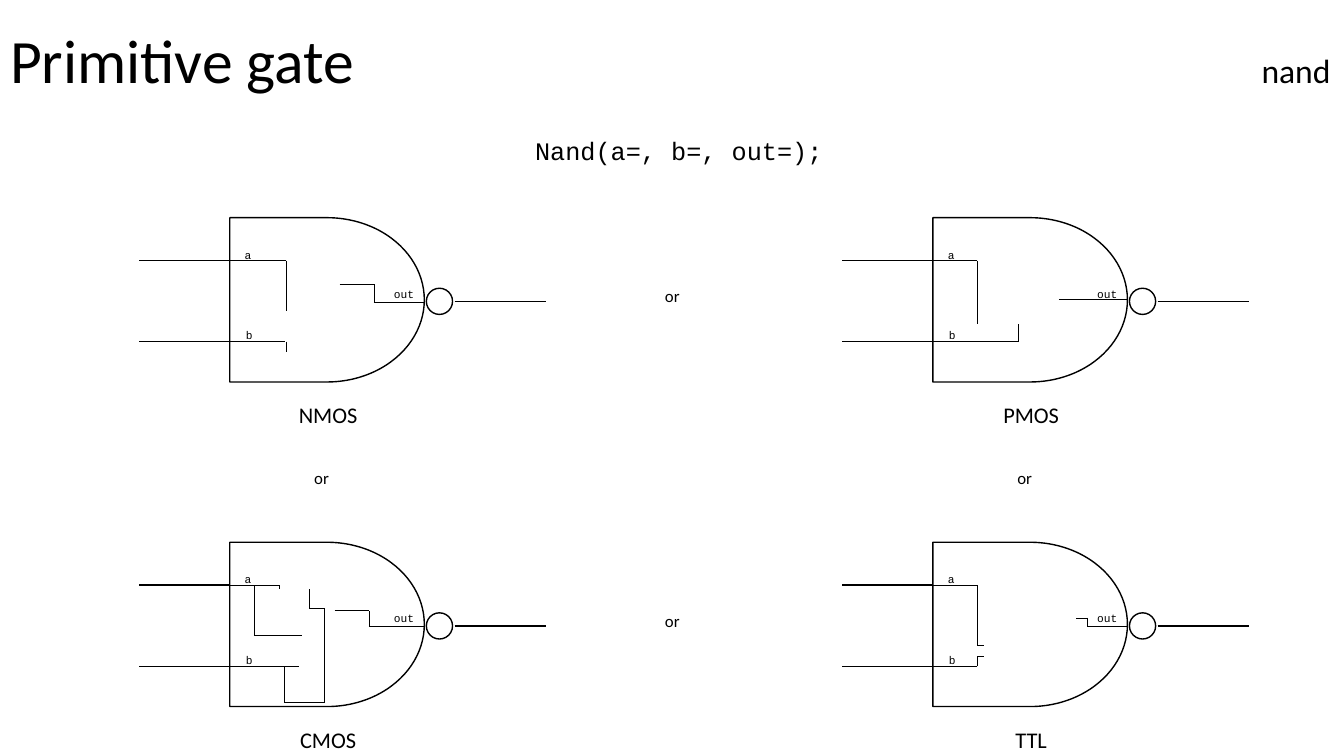
from pptx import Presentation
from pptx.dml.color import RGBColor
from pptx.enum.shapes import MSO_CONNECTOR, MSO_SHAPE
from pptx.enum.text import MSO_ANCHOR, MSO_AUTO_SIZE, PP_ALIGN
from pptx.oxml.ns import qn
from pptx.util import Inches, Pt
from lxml import etree

BLACK = RGBColor(0, 0, 0)
LEFT, CENTER = PP_ALIGN.LEFT, PP_ALIGN.CENTER
MIDDLE = MSO_ANCHOR.MIDDLE
FIXED = MSO_AUTO_SIZE.NONE
STRAIGHT = MSO_CONNECTOR.STRAIGHT
DELAY, OVAL = MSO_SHAPE.FLOWCHART_DELAY, MSO_SHAPE.OVAL
SANS, MONO = "Calibri", "Courier New"

# Ten grid columns and ten grid rows make one inch.
COLS, ROWS = 133.33, 75
GATE_X, GATE_Y = 22.8, 21.6
STEP_X, STEP_Y = 69.75, 32.2
IN_A, IN_B, OUT = 4.25, 12.3, 8.3

# Inner wires of each gate, as paths measured from its body's top left corner.
GATES = [
    ("NMOS", 0, 0, [
        [(0, IN_A), (5.6, IN_A), (5.6, 9.3)],
        [(0, IN_B), (5.5, IN_B)],
        [(5.6, IN_B), (5.6, 13.3)],
        [(10.9, 6.6), (14.3, 6.6), (14.3, 8.4), (19.4, 8.4)]]),
    ("PMOS", 1, 0, [
        [(0, IN_A), (4.4, IN_A), (4.4, 10.5)],
        [(0, IN_B), (8.5, IN_B), (8.5, 10.5)],
        [(12.5, 8.1), (19.3, 8.1)]]),
    ("CMOS", 0, 1, [
        [(0, IN_A), (4.9, IN_A), (4.9, 4.6)],
        [(0, IN_B), (6.9, IN_B)],
        [(2.4, IN_A), (2.4, 9.2), (7.2, 9.2)],
        [(5.4, IN_B), (5.4, 15.9), (9.4, 15.9), (9.4, 6.6), (7.9, 6.6), (7.9, 4.6)],
        [(10.4, 6.8), (13.8, 6.8), (13.8, OUT), (19.3, OUT)]]),
    ("TTL", 1, 1, [
        [(0, IN_A), (4.4, IN_A), (4.4, 10.2), (5.1, 10.2)],
        [(0, IN_B), (4.4, IN_B), (4.4, 11.3), (5.1, 11.3)],
        [(14.2, 7.5), (15.3, 7.5), (15.3, OUT), (19.3, OUT)]]),
]


def grid(*cells):
    """Turn grid columns or rows into lengths."""
    return [Inches(cell / 10) for cell in cells]


def write(para, text, size=12, font=SANS, color=BLACK, align=LEFT):
    para.alignment = align
    run = para.add_run()
    run.text = text
    run.font.size = Pt(size)
    run.font.name = font
    run.font.color.rgb = color


class Board:
    def __init__(self, deck):
        self.slide = deck.slides.add_slide(deck.slide_layouts[5])
        self.shapes = self.slide.shapes
        self.thick, self.thin = Pt(1), Pt(0.5)

    def title(self, text, note):
        """Set the title, with a smaller note at the right edge."""
        head = self.shapes.title
        head.left, head.top, head.width, head.height = grid(0, -0.9, COLS, 14.5)
        frame = head.text_frame
        frame.vertical_anchor = MIDDLE
        frame.auto_size = FIXED
        para = frame.paragraphs[0]
        para.line_spacing = 0.9
        tabs = etree.SubElement(para._p.get_or_add_pPr(), qn("a:tabLst"))
        etree.SubElement(tabs, qn("a:tab"), pos=str(Inches(13.1)), algn="r")
        write(para, text + "\t", size=44)
        write(para, note, size=24)

    def label(self, text, x, y, wide, high, wrap=True, **style):
        frame = self.shapes.add_textbox(*grid(x, y, wide, high)).text_frame
        frame.word_wrap = wrap
        write(frame.paragraphs[0], text, **style)

    def outline(self, kind, x, y, wide, high):
        shape = self.shapes.add_shape(kind, *grid(x, y, wide, high))
        shape.shadow.inherit = False
        shape.fill.background()
        shape.line.color.rgb = BLACK
        shape.line.width = self.thick

    def wire(self, x, y, points, width):
        """Join points, measured from x and y, by straight lines."""
        for (ax, ay), (bx, by) in zip(points, points[1:]):
            line = self.shapes.add_connector(
                STRAIGHT, *grid(x + ax, y + ay, x + bx, y + by))
            line.line.color.rgb = BLACK
            line.line.width = width
            etree.SubElement(line._element.spPr, qn("a:effectLst"))

    def gate(self, name, x, y, paths):
        for level in (IN_A, IN_B):
            self.wire(x, y, [(-9, level), (0, level)], self.thick)
        self.wire(x, y, [(22.3, OUT), (31.4, OUT)], self.thick)
        self.outline(OVAL, x + 19.5, y + 7, 2.6, 2.6)
        self.outline(DELAY, x, y, 19.3, 16.3)
        for path in paths:
            self.wire(x, y, path, self.thin)
        for pin, dx, dy, wide in (("a", 0.5, 2.5, 3.3), ("b", 0.6, 10.5, 3.2),
                                  ("out", 15.3, 6.4, 4.2)):
            self.label(pin, x + dx, y + dy, wide, 2.4, size=8, font=MONO)
        self.label(name, x + 5.6, y + 17.7, 8.3, 3.7, size=16, align=CENTER)

    def choice(self, x, y):
        self.label("or", x, y, 5.6, 3, align=CENTER)


def main():
    deck = Presentation()
    deck.slide_width, deck.slide_height = grid(COLS, ROWS)
    board = Board(deck)
    board.title("Primitive gate", "nand")
    board.label(" Nand(a=, b=, out=);", 50.6, 12.9, 32.2, 4,
                wrap=False, size=18, font=MONO)
    for name, col, row, paths in GATES:
        x, y = GATE_X + col * STEP_X, GATE_Y + row * STEP_Y
        board.gate(name, x, y, paths)
        if col == 0:
            board.choice(x + 41.1, y + 6.3)
        if row == 0:
            board.choice(x + 6.3, y + 24.3)
    deck.save("out.pptx")


if __name__ == "__main__":
    main()
